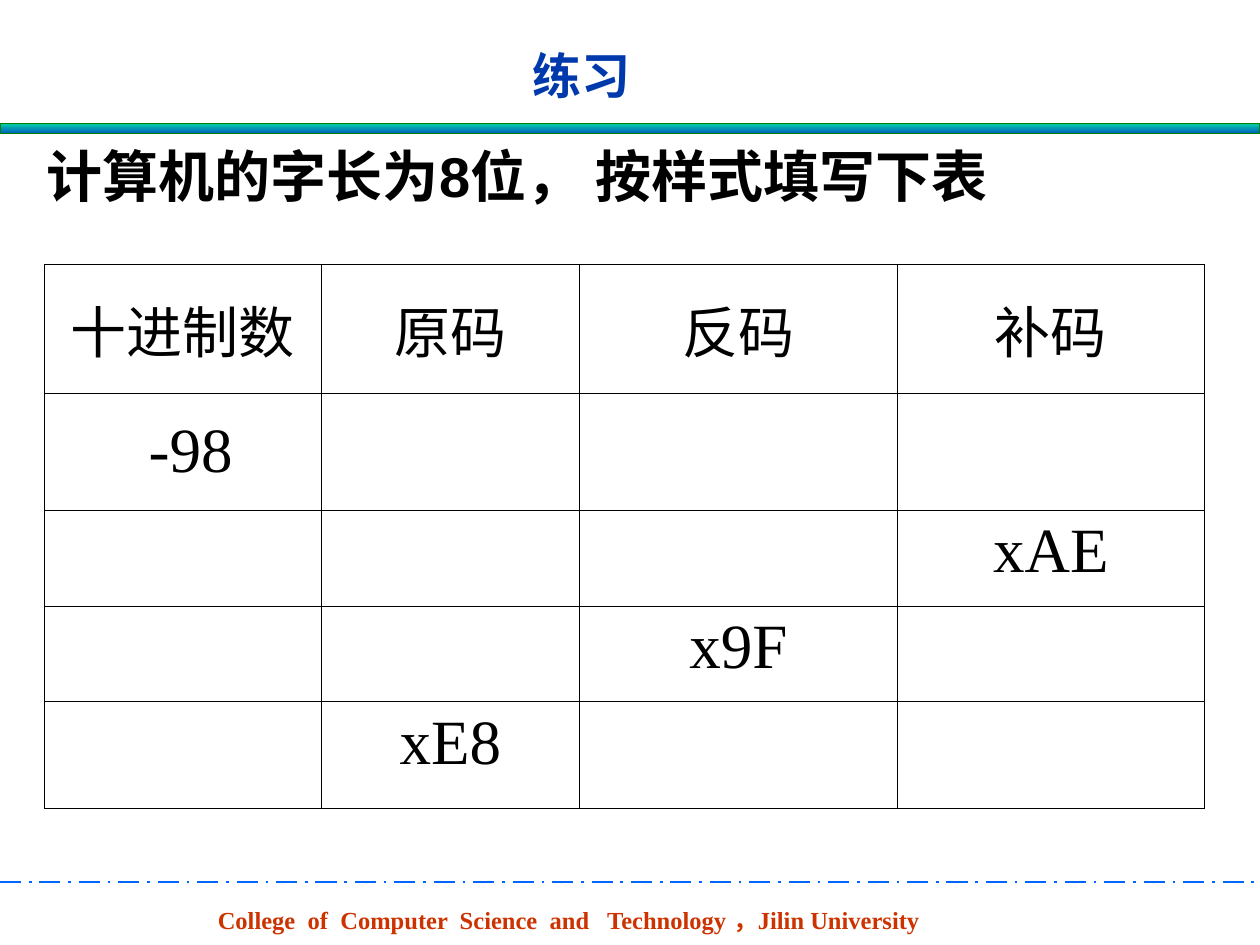
from lxml.etree import SubElement
from pptx import Presentation
from pptx.dml.color import RGBColor
from pptx.enum.dml import MSO_LINE
from pptx.enum.shapes import MSO_CONNECTOR, MSO_SHAPE
from pptx.enum.text import MSO_ANCHOR, MSO_AUTO_SIZE, PP_ALIGN
from pptx.oxml import parse_xml
from pptx.oxml.ns import nsdecls, qn
from pptx.util import Inches, Pt

# Content
TASK = "计算机的字长为8位， 按样式填写下表"
HEADING = "练习"
FOOTER = "College  of  Computer  Science  and   Technology ，Jilin University"
CODES = [
    ["十进制数", "原码", "反码", "补码"],
    [" -98", "", "", ""],
    ["", "", "", "xAE"],
    ["", "", "x9F", ""],
    ["", "xE8", "", ""],
]
COLUMN_WIDTHS = [2.2, 2.05, 2.52, 2.44]
ROW_HEIGHTS = [1.02, 0.93, 0.76, 0.76, 0.85]
MIDDLE_ROWS = 2  # leading rows whose text is centred vertically

BLACK = RGBColor(0x00, 0x00, 0x00)
NAVY = RGBColor(0x00, 0x39, 0xAC)
RUST = RGBColor(0xCC, 0x33, 0x00)
BLUE = RGBColor(0x00, 0x66, 0xFF)
GREEN = RGBColor(0x00, 0x80, 0x00)
BAND_COLORS = [RGBColor(0x03, 0xD4, 0xA8), RGBColor(0x00, 0x5C, 0xBF)]
SERIF = "Times New Roman"

prs = Presentation()
prs.slide_width, prs.slide_height = Inches(10), Inches(7.5)
slide = prs.slides.add_slide(prs.slide_layouts[5])
shapes = slide.shapes


def write(frame, text, size, color=BLACK, font=SERIF, bold=False,
          align=PP_ALIGN.LEFT):
    paragraph = frame.paragraphs[0]
    paragraph.alignment = align
    run = paragraph.add_run()
    run.text = text
    run.font.name, run.font.size = font, Pt(size)
    run.font.bold, run.font.color.rgb = bold, color


def add_label(box, text, wrap=True, **style):
    frame = shapes.add_textbox(*map(Inches, box)).text_frame
    frame.word_wrap = wrap
    frame.auto_size = MSO_AUTO_SIZE.SHAPE_TO_FIT_TEXT
    write(frame, text, bold=True, **style)


def add_borders(cell, width=0.45):
    properties = cell._tc.get_or_add_tcPr()
    for index, side in enumerate(("lnL", "lnR", "lnT", "lnB")):
        properties.insert(index, parse_xml(
            f'<a:{side} {nsdecls("a")} w="{Pt(width)}"><a:solidFill>'
            f'<a:srgbClr val="{BLACK}"/></a:solidFill></a:{side}>'))


# Footer with its dashed rule
add_label((1.63, 7.13, 5.92, 0.34), FOOTER, size=14, color=RUST)
rule = shapes.add_connector(MSO_CONNECTOR.STRAIGHT, 0, Inches(7),
                            prs.slide_width, Inches(7))
rule.line.color.rgb, rule.line.width = BLUE, Pt(1.5)
rule.line.dash_style = MSO_LINE.LONG_DASH_DOT
SubElement(rule._element.spPr, qn("a:effectLst"))

# Gradient band under the heading
band = shapes.add_shape(MSO_SHAPE.RECTANGLE, 0, Inches(0.98),
                        prs.slide_width, Inches(0.08))
band.shadow.inherit = False
band.fill.gradient()
band.fill.gradient_angle = 270
for stop, color in zip(band.fill.gradient_stops, BAND_COLORS):
    stop.color.rgb = color
band.line.color.rgb, band.line.width = GREEN, Pt(0.75)

# Task title
task = shapes.title
task.left, task.top, task.width, task.height = map(
    Inches, (0.27, 1.07, 9.37, 0.85))
task.text_frame.word_wrap = True
task.text_frame.vertical_anchor = MSO_ANCHOR.TOP
write(task.text_frame, TASK, 32, font="Arial", bold=True)

# Table of codes
table = shapes.add_table(
    len(CODES), len(CODES[0]), Inches(0.35), Inches(2.1),
    Inches(sum(COLUMN_WIDTHS)), Inches(sum(ROW_HEIGHTS))).table
table.first_row = table.horz_banding = False
for column, width in zip(table.columns, COLUMN_WIDTHS):
    column.width = Inches(width)
for row, height in zip(table.rows, ROW_HEIGHTS):
    row.height = Inches(height)
for r, values in enumerate(CODES):
    for c, value in enumerate(values):
        cell = table.cell(r, c)
        cell.fill.background()
        add_borders(cell)
        if value:
            cell.vertical_anchor = (MSO_ANCHOR.MIDDLE if r < MIDDLE_ROWS
                                    else MSO_ANCHOR.TOP)
            write(cell.text_frame, value, 36 if r else 32,
                  align=PP_ALIGN.CENTER)

# Heading
add_label((4.13, 0.31, 1, 0.57), HEADING, wrap=False, size=28, color=NAVY)

prs.save("out.pptx")
